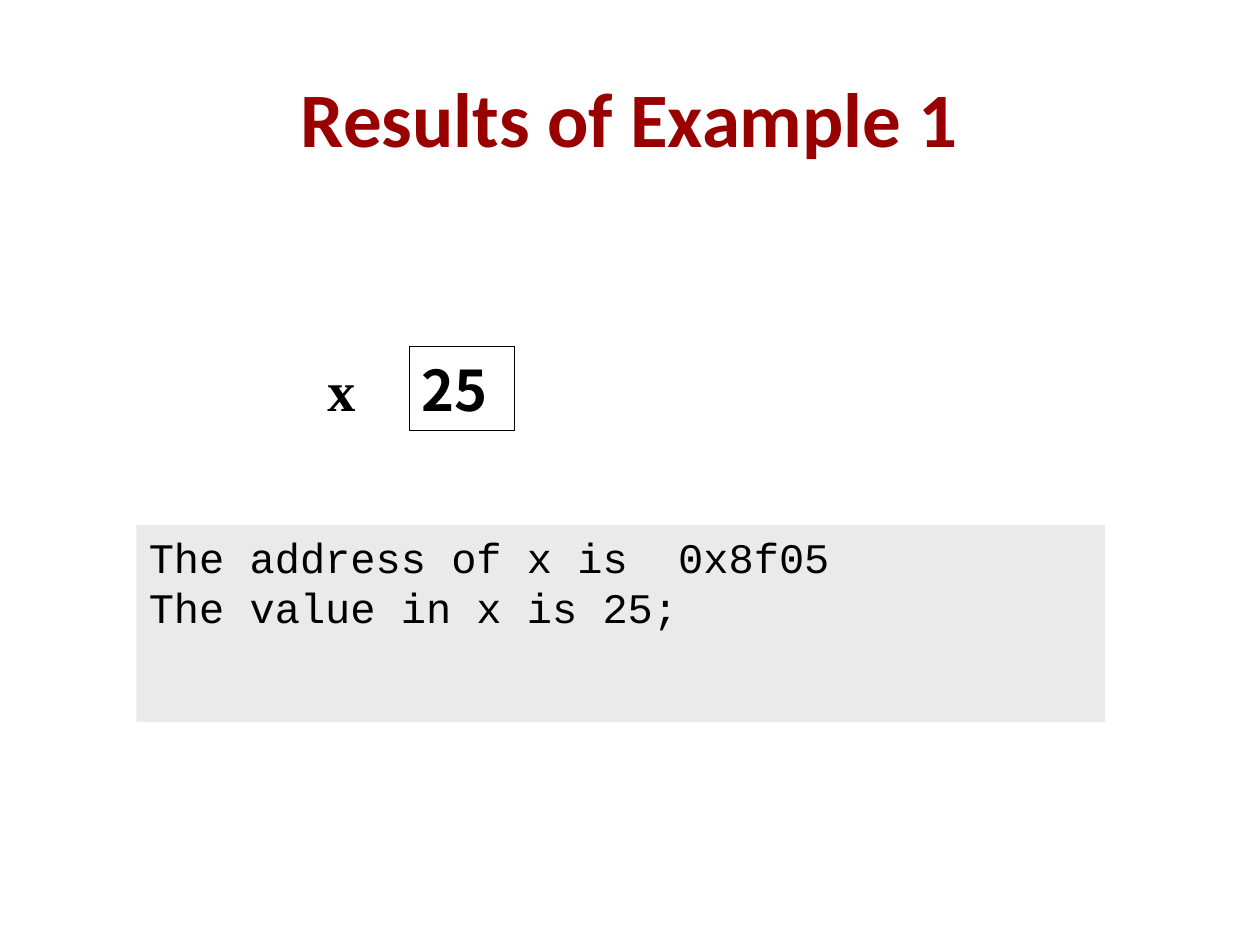
from dataclasses import dataclass

from pptx import Presentation
from pptx.dml.color import RGBColor
from pptx.enum.shapes import MSO_SHAPE
from pptx.enum.text import MSO_ANCHOR, PP_ALIGN
from pptx.util import Cm, Pt


@dataclass(frozen=True)
class Theme:
    title_color: RGBColor = RGBColor(0x99, 0x00, 0x00)
    ink: RGBColor = RGBColor(0x00, 0x00, 0x00)
    panel: RGBColor = RGBColor(0xEA, 0xEA, 0xEA)
    title_size: Pt = Pt(44)
    variable_size: Pt = Pt(32)
    output_size: Pt = Pt(24)
    outline: Pt = Pt(0.75)


THEME = Theme()
TITLE = {"name": "Calibri", "size": THEME.title_size, "bold": True}
VALUE = {"name": "Noto Sans CJK KR", "size": THEME.variable_size, "bold": True}
NAME = {**VALUE, "name": "Times New Roman"}
OUTPUT = {"name": "Courier New", "size": THEME.output_size, "bold": False}


def write(shape, lines, font, color=THEME.ink, align=PP_ALIGN.LEFT, anchor=MSO_ANCHOR.MIDDLE):
    """Fill the shape with one paragraph per line, all in one format."""
    frame = shape.text_frame
    frame.word_wrap = True
    frame.vertical_anchor = anchor
    for index, line in enumerate(lines):
        para = frame.add_paragraph() if index else frame.paragraphs[0]
        para.alignment = align
        span = para.add_run()
        span.text = line
        for key, value in font.items():
            setattr(span.font, key, value)
        span.font.color.rgb = color


def place_title(page, text):
    title = page.shapes.title
    title.left, title.top, title.width, title.height = Cm(1.27), Cm(0.76), Cm(22.86), Cm(3.18)
    write(title, [text], TITLE, THEME.title_color, PP_ALIGN.CENTER)


def add_rectangle(page, left, top, width, height):
    box = page.shapes.add_shape(MSO_SHAPE.RECTANGLE, left, top, width, height)
    box.shadow.inherit = False
    return box


def add_output_panel(page, lines):
    panel = add_rectangle(page, Cm(2.75), Cm(10.58), Cm(19.53), Cm(3.98))
    panel.fill.solid()
    panel.fill.fore_color.rgb = THEME.panel
    panel.line.fill.background()
    write(panel, lines, OUTPUT, anchor=MSO_ANCHOR.TOP)


def add_variable(page, name, value):
    """Draw a memory cell with the variable's name to its left."""
    top, width, height = Cm(6.99), Cm(2.12), Cm(1.69)
    cell = add_rectangle(page, Cm(8.25), top, width, height)
    cell.fill.background()
    cell.line.color.rgb = THEME.ink
    cell.line.width = THEME.outline
    write(cell, [value], VALUE)
    label = page.shapes.add_textbox(Cm(6.35), top, width, height)
    write(label, [name], NAME)


def main():
    deck = Presentation()
    deck.slide_width, deck.slide_height = Cm(25.4), Cm(19.05)
    page = deck.slides.add_slide(deck.slide_layouts.get_by_name("Title Only"))
    place_title(page, "Results of Example 1")
    add_output_panel(page, ["The address of x is  0x8f05", "The value in x is 25;"])
    add_variable(page, "x", "25")
    deck.save("out.pptx")


if __name__ == "__main__":
    main()
